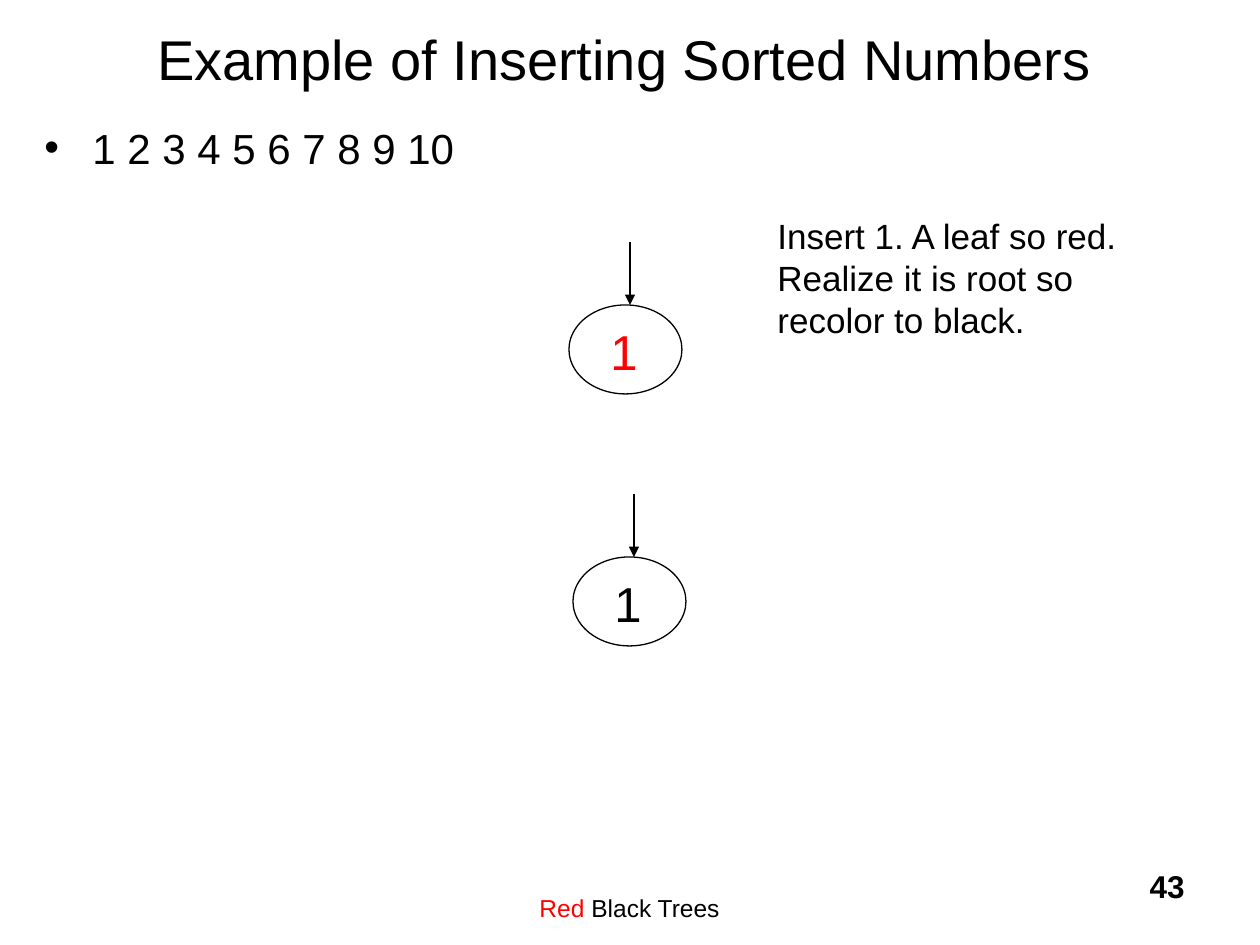
from lxml.etree import SubElement
from pptx import Presentation
from pptx.dml.color import RGBColor
from pptx.enum.shapes import MSO_CONNECTOR, MSO_SHAPE
from pptx.enum.text import MSO_ANCHOR, PP_ALIGN
from pptx.oxml.ns import qn
from pptx.util import Emu, Pt

COLORS = {"black": "000000", "red": "FF0000", "white": "FFFFFF"}
EMU_PER_PX = 914400 / 126


def px(length):
    return Emu(round(length * EMU_PER_PX))


def color(name):
    return RGBColor.from_string(COLORS[name])


def set_attributes(target, values):
    for name, value in values.items():
        setattr(target, name, value)


class SlideBuilder:
    font_name = "Arial"
    line_width = Pt(0.75)

    def __init__(self, presentation):
        self.slide = presentation.slides.add_slide(presentation.slide_layouts[6])
        fill = self.slide.background.fill
        fill.solid()
        fill.fore_color.rgb = color("white")

    def text(self, box, runs, size, shapes=None, bold=False, bullet_indent=0,
             paragraph_format=None, frame_format=None):
        shapes = shapes or self.slide.shapes
        frame = shapes.add_textbox(*map(px, box)).text_frame
        set_attributes(frame, {"word_wrap": True, **(frame_format or {})})
        paragraph = frame.paragraphs[0]
        set_attributes(paragraph, paragraph_format or {})
        if bullet_indent:
            self.bullet(paragraph, bullet_indent)
        for content, color_name in runs:
            run = paragraph.add_run()
            run.text = content
            set_attributes(run.font, {"name": self.font_name, "size": Pt(size), "bold": bold})
            run.font.color.rgb = color(color_name)

    def bullet(self, paragraph, indent):
        properties = paragraph._p.get_or_add_pPr()
        properties.set("marL", str(px(indent)))
        properties.set("indent", str(px(-indent)))
        SubElement(properties, qn("a:buFont"), typeface=self.font_name)
        SubElement(properties, qn("a:buChar"), char="•")

    def outline(self, line):
        line.color.rgb = color("black")
        line.width = self.line_width

    def node(self, left, top, label, color_name):
        shapes = self.slide.shapes.add_group_shape().shapes
        ellipse = shapes.add_shape(MSO_SHAPE.OVAL, *map(px, (left, top, 113, 89)))
        ellipse.shadow.inherit = False
        ellipse.fill.background()
        self.outline(ellipse.line)
        self.text((left + 29, top + 10, 53, 72), [(label, color_name)], 28,
                  shapes=shapes, frame_format={"word_wrap": False})

    def arrow(self, x, top, bottom):
        connector = self.slide.shapes.add_connector(
            MSO_CONNECTOR.STRAIGHT, *map(px, (x, top, x, bottom)))
        self.outline(connector.line)
        SubElement(connector.line._get_or_add_ln(), qn("a:tailEnd"), type="triangle")
        SubElement(connector._element.spPr, qn("a:effectLst"))


def main():
    presentation = Presentation()
    set_attributes(presentation, {"slide_width": px(1260), "slide_height": px(945)})
    builder = SlideBuilder(presentation)

    builder.text((388, 861, 483, 63), [("Red", "red"), (" Black Trees", "black")], 14,
                 paragraph_format={"alignment": PP_ALIGN.CENTER},
                 frame_format={"margin_top": px(34), "margin_bottom": 0})
    builder.text((935, 861, 262, 63), [("43", "black")], 18, bold=True,
                 paragraph_format={"alignment": PP_ALIGN.RIGHT})
    builder.text((21, -21, 1207, 158), [("Example of Inserting Sorted Numbers", "black")], 32,
                 paragraph_format={"alignment": PP_ALIGN.CENTER},
                 frame_format={"vertical_anchor": MSO_ANCHOR.MIDDLE})
    builder.text((32, 116, 1197, 756), [("1 2 3 4 5 6 7 8 9 10", "black")], 24,
                 bullet_indent=48)
    builder.text((765, 208, 412, 140), [
        ("Insert 1. A leaf so red. Realize it is root so recolor to black.", "black")], 20)

    for left, top, color_name in ((569, 305, "red"), (573, 557, "black")):
        builder.node(left, top, "1", color_name)
        builder.arrow(left + 61, top - 63, top)

    presentation.save("out.pptx")


if __name__ == "__main__":
    main()
